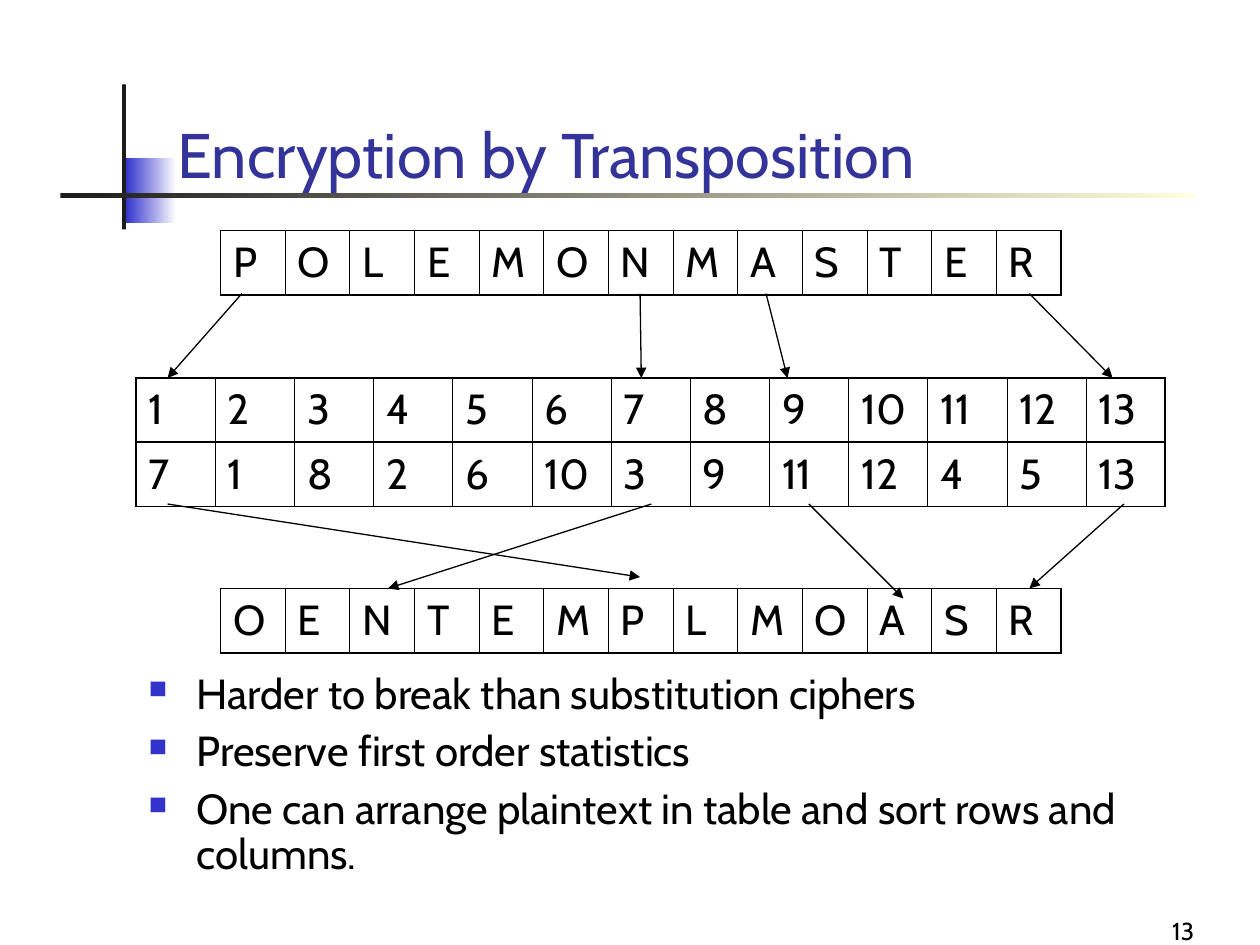
from dataclasses import dataclass

from lxml.etree import SubElement as Sub
from pptx import Presentation
from pptx.dml.color import RGBColor as Rgb
from pptx.enum.shapes import MSO_CONNECTOR as Conn, MSO_SHAPE as Form
from pptx.enum.text import MSO_ANCHOR as Anchor, MSO_AUTO_SIZE as Fit, PP_ALIGN as Align
from pptx.oxml.ns import qn
from pptx.util import Inches, Pt


@dataclass(frozen=True)
class Theme:
    """Colours, font and sizes of the slide."""
    font: str = "Cabin"
    ink: str = "000000"
    white: str = "FFFFFF"
    title: str = "333399"
    accent: str = "3333CC"
    dark: str = "1C1C1C"
    cream: str = "FFFFDD"
    head: int = 36
    text: int = 24
    note: int = 14
    thin: float = 0.45
    thick: float = 1.08
    arrow: float = 0.75


T = Theme()
PLAIN = "POLEMONMASTER"
KEY = [7, 1, 8, 2, 6, 10, 3, 9, 11, 12, 4, 5, 13]
POINTS = [
    "Harder to break than substitution ciphers",
    "Preserve first order statistics",
    "One can arrange plaintext in table and sort rows and columns.",
]
ARROWS = [
    (1.92, 2.33, 1.33, 3), (1.33, 4, 5.08, 4.58),
    (5.08, 2.33, 5.09, 3), (5.17, 4, 3.08, 4.67),
    (8.17, 2.33, 8.83, 3), (8.92, 4, 8.17, 4.67),
    (6.42, 4, 7.17, 4.75), (6.08, 2.33, 6.25, 3),
]


def add_run(para, text, size=T.text, color=T.ink):
    """Add one styled run to a paragraph."""
    run = para.add_run()
    run.text = text
    run.font.name = T.font
    run.font.size = Pt(size)
    run.font.color.rgb = Rgb.from_string(color)


def set_frame(frame, anchor, left, top, right, bottom):
    """Set wrapping, anchor and insets of a text frame."""
    frame.word_wrap = True
    frame.auto_size = Fit.NONE
    frame.vertical_anchor = anchor
    frame.margin_left, frame.margin_top = Inches(left), Inches(top)
    frame.margin_right, frame.margin_bottom = Inches(right), Inches(bottom)


def add_bar(slide, box, start, end=None):
    """Add a bar with a plain fill or a fade from left to right."""
    bar = slide.shapes.add_shape(Form.RECTANGLE, *map(Inches, box))
    bar.shadow.inherit = False
    bar.line.fill.background()
    if end is None:
        bar.fill.solid()
        bar.fill.fore_color.rgb = Rgb.from_string(start)
        return
    bar.fill.gradient()
    bar.fill.gradient_angle = 0
    for stop, color, place in zip(bar.fill.gradient_stops, (start, end), (0, 1)):
        stop.color.rgb = Rgb.from_string(color)
        stop.position = place


def add_title(slide, text):
    """Place and fill the title."""
    title = slide.shapes.title
    title.left, title.top = Inches(1.31), Inches(0)
    title.width, title.height = Inches(8.44), Inches(1.58)
    set_frame(title.text_frame, Anchor.BOTTOM, 0.1, 0.06, 0.14, 0.06)
    para = title.text_frame.paragraphs[0]
    para.alignment = Align.LEFT
    add_run(para, text, T.head, T.title)


def add_page(slide, text):
    """Add the page number."""
    box = slide.shapes.add_textbox(*map(Inches, (7.42, 7.15, 2.1, 0.35)))
    set_frame(box.text_frame, Anchor.BOTTOM, 0, 0, 0.04, 0)
    para = box.text_frame.paragraphs[0]
    para.alignment = Align.RIGHT
    add_run(para, text, T.note)


def set_bullet(para):
    """Give a paragraph a square bullet and a hanging indent."""
    props = para._p.get_or_add_pPr()
    props.set("marL", str(Inches(0.42)))
    props.set("indent", str(Inches(-0.38)))
    Sub(Sub(props, qn("a:buClr")), qn("a:srgbClr"), val=T.accent)
    Sub(props, qn("a:buSzPct"), val="60000")
    Sub(props, qn("a:buChar"), char="■")


def add_list(slide, items):
    """Add the bulleted text."""
    box = slide.shapes.add_textbox(*map(Inches, (1.08, 5.28, 8.5, 2.08)))
    frame = box.text_frame
    set_frame(frame, Anchor.TOP, 0.06, 0.06, 0.14, 0.06)
    for i, item in enumerate(items):
        para = frame.add_paragraph() if i else frame.paragraphs[0]
        set_bullet(para)
        para.line_spacing = 0.9
        para.space_before = Pt(7 if i else 0)
        add_run(para, item)


def set_edges(cell, first, last):
    """Draw the cell borders, thick on the rim of the row."""
    props = cell._tc.get_or_add_tcPr()
    sides = {"L": first, "R": last, "T": True, "B": True}
    for side, rim in sides.items():
        width = Pt(T.thick if rim else T.thin)
        line = Sub(props, qn(f"a:ln{side}"), w=str(width))
        Sub(Sub(line, qn("a:solidFill")), qn("a:srgbClr"), val=T.ink)


def add_grid(slide, left, top, width, rows):
    """Add a table with equal columns and one item per cell."""
    count, tall = len(rows[0]), 0.51
    size = map(Inches, (left, top, width, tall * len(rows)))
    table = slide.shapes.add_table(len(rows), count, *size).table
    table.first_row = table.horz_banding = False
    for col in table.columns:
        col.width = Inches(width / count)
    for r, row in enumerate(rows):
        table.rows[r].height = Inches(tall)
        for c, item in enumerate(row):
            cell = table.cell(r, c)
            cell.margin_left, cell.margin_right = Inches(0.1), Inches(0.06)
            cell.margin_top = cell.margin_bottom = Inches(0.05)
            set_edges(cell, c == 0, c == count - 1)
            cell.fill.background()
            add_run(cell.text_frame.paragraphs[0], str(item))


def add_arrow(slide, ends):
    """Add a straight arrow between two points."""
    arrow = slide.shapes.add_connector(Conn.STRAIGHT, *map(Inches, ends))
    arrow.line.width = Pt(T.arrow)
    arrow.line.color.rgb = Rgb.from_string(T.ink)
    Sub(arrow.line._get_or_add_ln(), qn("a:tailEnd"), type="triangle")
    Sub(arrow._element.spPr, qn("a:effectLst"))


def encrypt(text, key):
    """Move each letter to the place its key names."""
    return [char for _, char in sorted(zip(key, text))]


def main():
    """Build and save the slide."""
    prs = Presentation()
    prs.slide_width, prs.slide_height = Inches(10), Inches(7.5)
    slide = prs.slides.add_slide(prs.slide_layouts[5])
    add_bar(slide, (1, 1.25, 0.4, 0.52), T.accent, T.white)
    add_bar(slide, (0.97, 0.67, 0.03, 1.15), T.dark)
    add_bar(slide, (0.48, 1.53, 9, 0.04), T.dark, T.cream)
    add_page(slide, "13")
    add_title(slide, "Encryption by Transposition")
    add_list(slide, POINTS)
    add_grid(slide, 1.75, 1.83, 6.67, [PLAIN])
    add_grid(slide, 1.08, 3, 8.17, [range(1, len(KEY) + 1), KEY])
    add_grid(slide, 1.75, 4.67, 6.67, [encrypt(PLAIN, KEY)])
    for ends in ARROWS:
        add_arrow(slide, ends)
    prs.save("out.pptx")


if __name__ == "__main__":
    main()
